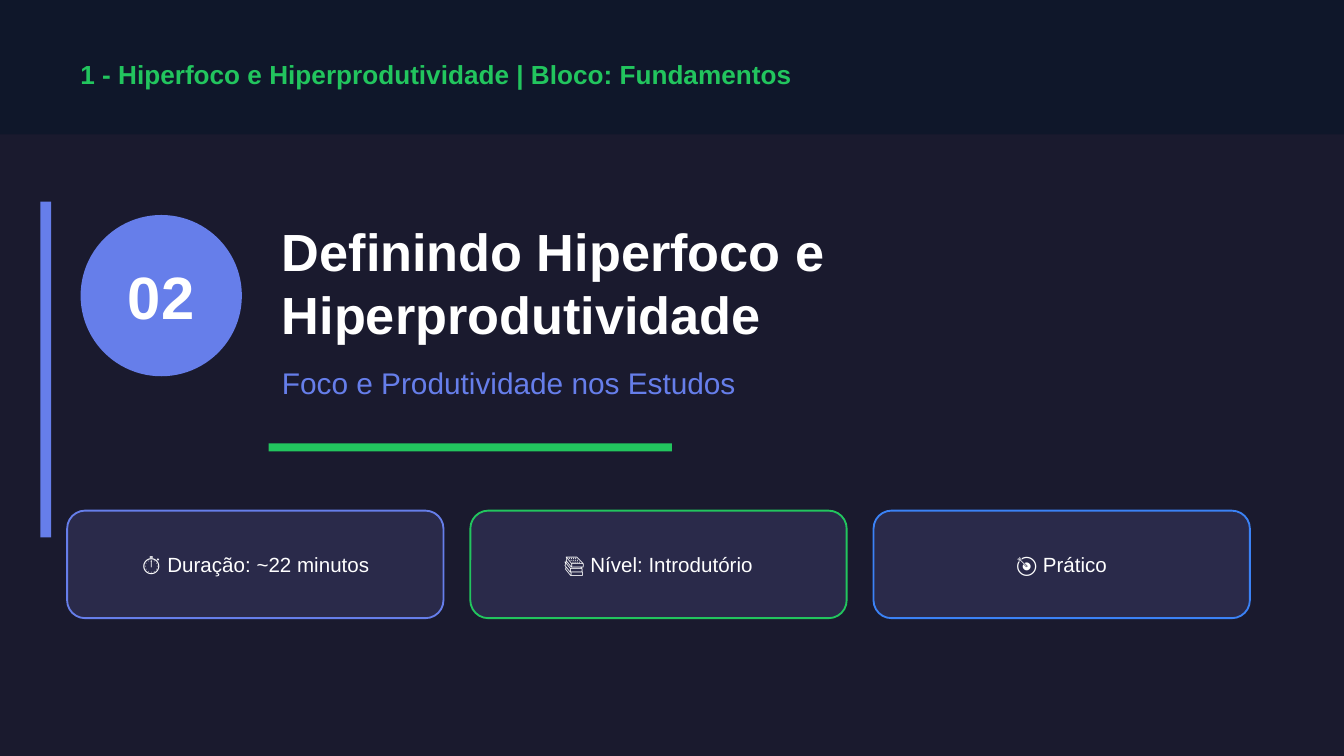
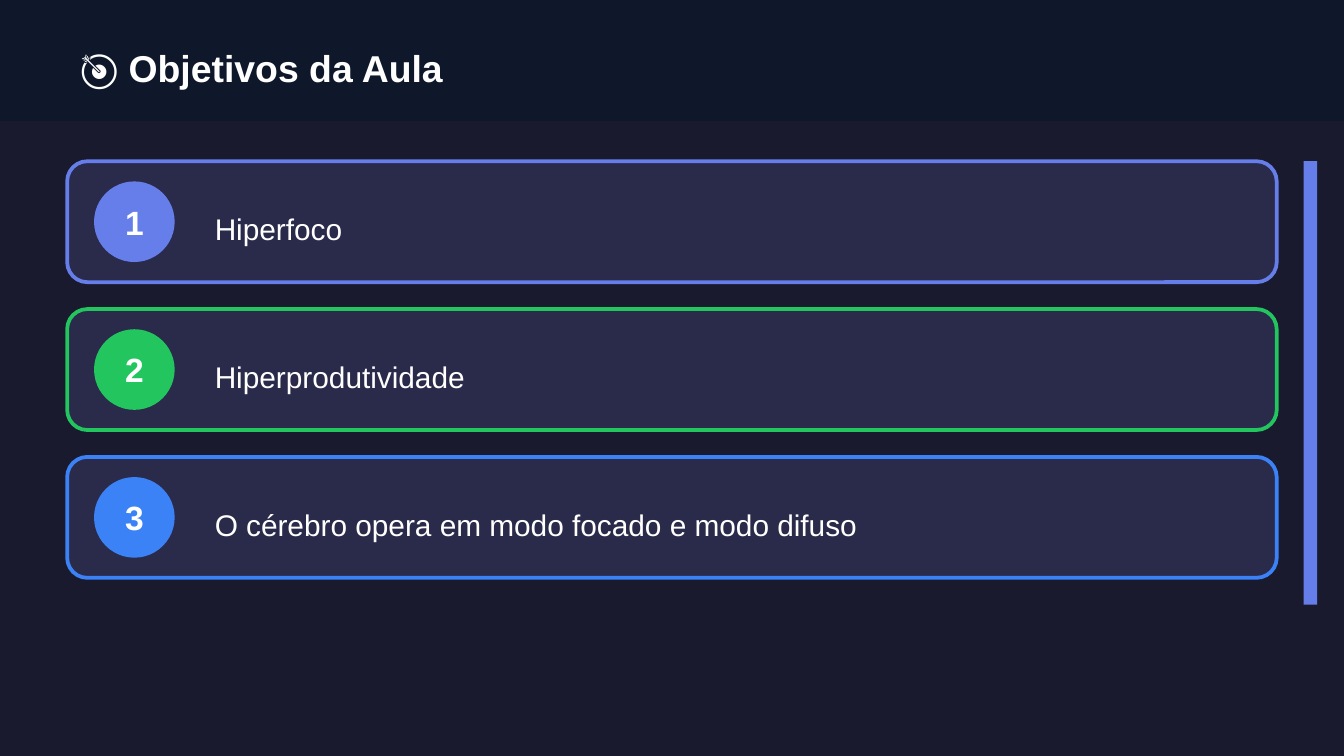
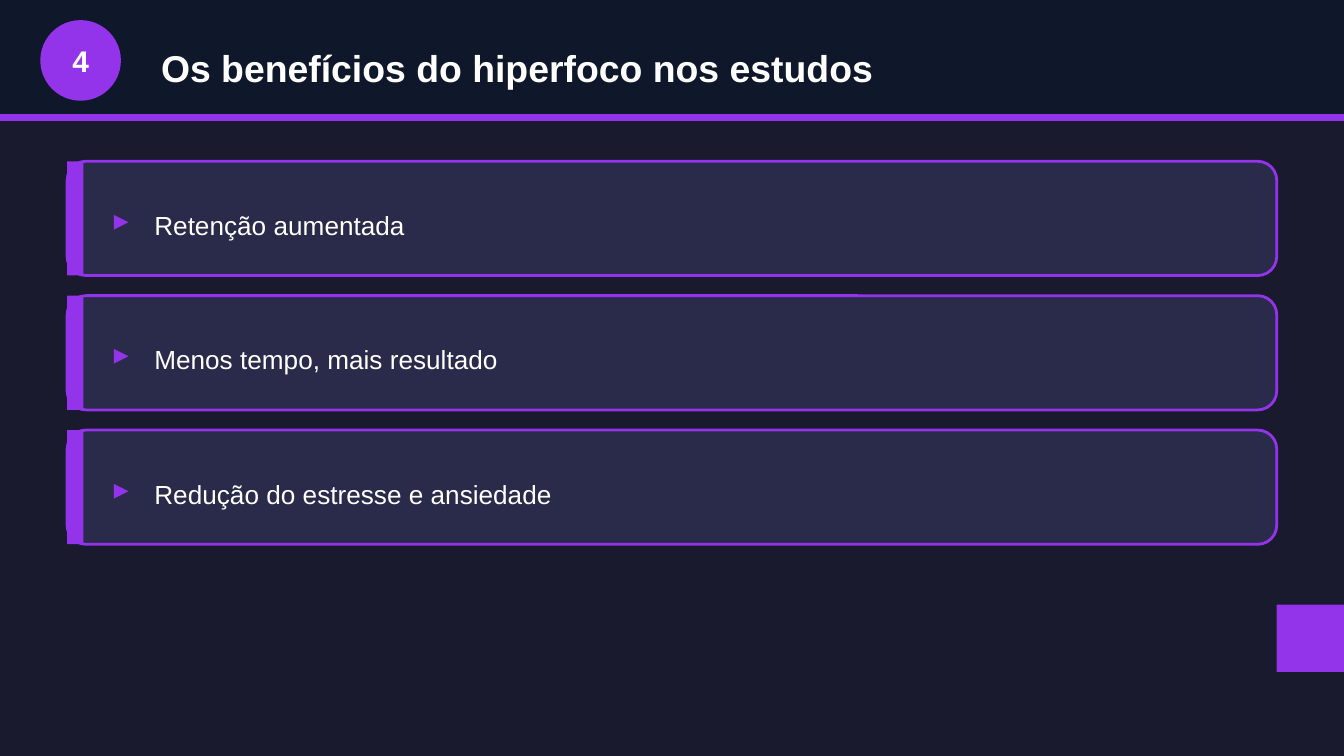
"""Build three lesson slides about hyperfocus and hyperproductivity."""
from dataclasses import dataclass

from pptx import Presentation
from pptx.dml.color import RGBColor
from pptx.enum.shapes import MSO_SHAPE
from pptx.enum.text import MSO_ANCHOR, PP_ALIGN
from pptx.util import Inches, Pt


@dataclass(frozen=True)
class Theme:
    font: str = "Arial"
    background: str = "1A1A2E"
    band: str = "0F172A"
    card: str = "2A2A4A"
    white: str = "FFFFFF"
    indigo: str = "667EEA"
    green: str = "22C55E"
    blue: str = "3B82F6"
    purple: str = "9333EA"
    section_number: int = 32
    section_title: int = 28
    slide_title: int = 20
    list_number: int = 18
    large: int = 16
    body: int = 14
    small: int = 11


theme = Theme()


def add_block(slide, kind, left, top, width, height, fill, line=None, line_width=1):
    shape = slide.shapes.add_shape(
        kind, Inches(left), Inches(top), Inches(width), Inches(height)
    )
    shape.shadow.inherit = False
    shape.fill.solid()
    shape.fill.fore_color.rgb = RGBColor.from_string(fill)
    if line:
        shape.line.color.rgb = RGBColor.from_string(line)
        shape.line.width = Pt(line_width)
    else:
        shape.line.fill.background()


def add_text(slide, text, left, top, width, height, size,
             color=theme.white, bold=False, align=PP_ALIGN.LEFT):
    box = slide.shapes.add_textbox(
        Inches(left), Inches(top), Inches(width), Inches(height)
    )
    frame = box.text_frame
    frame.word_wrap = True
    frame.vertical_anchor = MSO_ANCHOR.MIDDLE
    paragraph = frame.paragraphs[0]
    paragraph.alignment = align
    run = paragraph.add_run()
    run.text = text
    run.font.name = theme.font
    run.font.size = Pt(size)
    run.font.bold = bold
    run.font.color.rgb = RGBColor.from_string(color)


presentation = Presentation()
presentation.slide_width = Inches(10)
presentation.slide_height = presentation.slide_width * 9 // 16

slides = []
for band_height in (1, 0.9, 0.9):
    slide = presentation.slides.add_slide(presentation.slide_layouts[6])
    slide.background.fill.solid()
    slide.background.fill.fore_color.rgb = RGBColor.from_string(theme.background)
    add_block(slide, MSO_SHAPE.RECTANGLE, 0, 0, 10, band_height, theme.band)
    slides.append(slide)
cover, objectives, benefits = slides
accents = (theme.indigo, theme.green, theme.blue)

add_text(cover, "1 - Hiperfoco e Hiperprodutividade | Bloco: Fundamentos",
         0.5, 0.35, 9, 0.4, theme.body, theme.green, bold=True)
add_block(cover, MSO_SHAPE.RECTANGLE, 0.3, 1.5, 0.08, 2.5, theme.indigo)
add_block(cover, MSO_SHAPE.OVAL, 0.6, 1.6, 1.2, 1.2, theme.indigo)
add_text(cover, "02", 0.6, 1.85, 1.2, 0.7, theme.section_number,
         bold=True, align=PP_ALIGN.CENTER)
add_text(cover, "Definindo Hiperfoco e Hiperprodutividade",
         2, 1.6, 7.5, 1, theme.section_title, bold=True)
add_text(cover, "Foco e Produtividade nos Estudos",
         2, 2.6, 7.5, 0.5, theme.large, theme.indigo)
add_block(cover, MSO_SHAPE.RECTANGLE, 2, 3.3, 3, 0.06, theme.green)

facts = ("⏱ Duração: ~22 minutos", "📚 Nível: Introdutório", "🎯 Prático")
for index, (fact, accent) in enumerate(zip(facts, accents)):
    left = 0.5 + 3 * index
    add_block(cover, MSO_SHAPE.ROUNDED_RECTANGLE, left, 3.8, 2.8, 0.8,
              theme.card, accent)
    add_text(cover, fact, left, 3.95, 2.8, 0.5, theme.small, align=PP_ALIGN.CENTER)

add_text(objectives, "🎯 Objetivos da Aula", 0.5, 0.25, 9, 0.5,
         theme.slide_title, bold=True)
goals = (
    "Hiperfoco",
    "Hiperprodutividade",
    "O cérebro opera em modo focado e modo difuso",
)
for index, (goal, accent) in enumerate(zip(goals, accents)):
    top = 1.2 + 1.1 * index
    add_block(objectives, MSO_SHAPE.ROUNDED_RECTANGLE, 0.5, top, 9, 0.9,
              theme.card, accent, 2)
    add_block(objectives, MSO_SHAPE.OVAL, 0.7, top + 0.15, 0.6, 0.6, accent)
    add_text(objectives, str(index + 1), 0.7, top + 0.25, 0.6, 0.4,
             theme.list_number, bold=True, align=PP_ALIGN.CENTER)
    add_text(objectives, goal, 1.5, top + 0.25, 7.8, 0.5, theme.large)
add_block(objectives, MSO_SHAPE.RECTANGLE, 9.7, 1.2, 0.1, 3.3, theme.indigo)

add_block(benefits, MSO_SHAPE.RECTANGLE, 0, 0.85, 10, 0.05, theme.purple)
add_block(benefits, MSO_SHAPE.OVAL, 0.3, 0.15, 0.6, 0.6, theme.purple)
add_text(benefits, "4", 0.3, 0.25, 0.6, 0.4, theme.large,
         bold=True, align=PP_ALIGN.CENTER)
add_text(benefits, "Os benefícios do hiperfoco nos estudos",
         1.1, 0.25, 8.5, 0.5, theme.slide_title, bold=True)
gains = (
    "Retenção aumentada",
    "Menos tempo, mais resultado",
    "Redução do estresse e ansiedade",
)
for index, gain in enumerate(gains):
    top = 1.2 + index
    add_block(benefits, MSO_SHAPE.ROUNDED_RECTANGLE, 0.5, top, 9, 0.85,
              theme.card, theme.purple, 1.5)
    add_block(benefits, MSO_SHAPE.RECTANGLE, 0.5, top, 0.12, 0.85, theme.purple)
    add_text(benefits, "▸", 0.75, top + 0.25, 0.3, 0.35,
             theme.large, theme.purple, bold=True)
    add_text(benefits, gain, 1.05, top + 0.25, 8.2, 0.45, theme.body)
add_block(benefits, MSO_SHAPE.RECTANGLE, 9.5, 4.5, 0.5, 0.5, theme.purple)

presentation.save("out.pptx")
